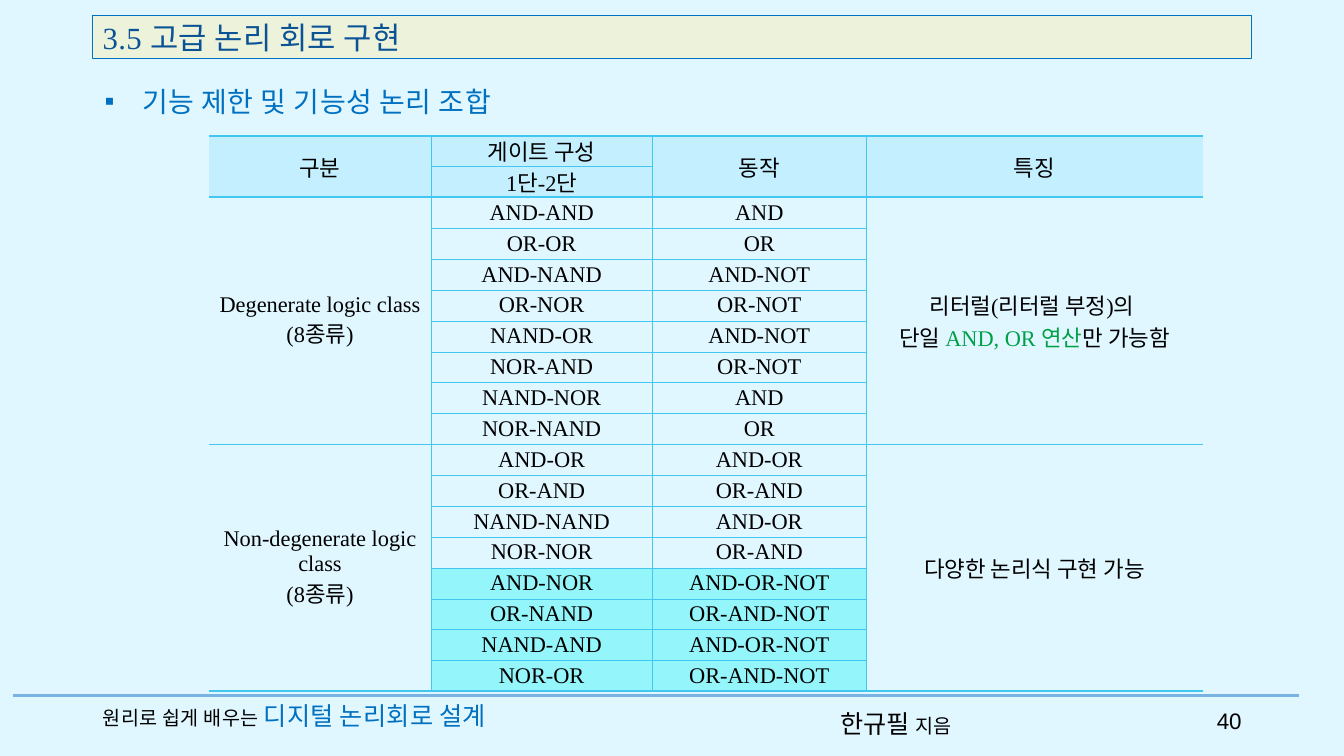
import pptx
import pptx.util
import pptx.dml.color
import pptx.enum.shapes
import pptx.enum.text
import pptx.oxml
import pptx.oxml.ns
from lxml import etree

Cm = pptx.util.Cm
Pt = pptx.util.Pt
RGBColor = pptx.dml.color.RGBColor
ALIGN = pptx.enum.text.PP_ALIGN
MIDDLE = pptx.enum.text.MSO_ANCHOR.MIDDLE
qn = pptx.oxml.ns.qn

BACKGROUND = RGBColor(0xE1, 0xF7, 0xFF)
RULE = RGBColor(0x78, 0xB3, 0xE3)
TITLE_FILL = RGBColor(0xED, 0xF3, 0xDB)
TITLE_INK = RGBColor(0x0B, 0x53, 0x94)
BLUE = RGBColor(0x00, 0x70, 0xC0)
BLACK = RGBColor(0x00, 0x00, 0x00)
GREEN = RGBColor(0x00, 0xA0, 0x48)
GRID = RGBColor(0x42, 0xC7, 0xF1)
HEADER_FILL = RGBColor(0xC4, 0xEF, 0xFF)
HIGHLIGHT = RGBColor(0x94, 0xF5, 0xFA)
LATIN, KOREAN = "Times New Roman", "Noto Sans CJK KR"
THIN, THICK = 0.28, 1.7

# A run is (text, size, colour); a paragraph is a list of runs.
TITLE = [("3.5 고급 논리 회로 구현", 22, TITLE_INK)]
TOPIC = [("기능 제한 및 기능성 논리 조합", 20, BLUE)]
BOOK = [("원리로 쉽게 배우는 ", 14, BLACK), ("디지털 논리회로 설계", 18, BLUE)]
AUTHOR = [("한규필 ", 18, BLACK), ("지음", 14, BLACK)]
PAGE = [("40", 16, BLACK)]

GATES = [
    ("게이트 구성", "동작"), ("1단-2단", ""),
    ("AND-AND", "AND"), ("OR-OR", "OR"),
    ("AND-NAND", "AND-NOT"), ("OR-NOR", "OR-NOT"),
    ("NAND-OR", "AND-NOT"), ("NOR-AND", "OR-NOT"),
    ("NAND-NOR", "AND"), ("NOR-NAND", "OR"),
    ("AND-OR", "AND-OR"), ("OR-AND", "OR-AND"),
    ("NAND-NAND", "AND-OR"), ("NOR-NOR", "OR-AND"),
    ("AND-NOR", "AND-OR-NOT"), ("OR-NAND", "OR-AND-NOT"),
    ("NAND-AND", "AND-OR-NOT"), ("NOR-OR", "OR-AND-NOT"),
]
# First row, last row, class name, feature
CLASSES = [
    (0, 1, [[("구분", 16, BLACK)]], [[("특징", 16, BLACK)]]),
    (2, 9,
     [[("Degenerate logic class", 16, BLACK)], [("(8종류)", 16, BLACK)]],
     [[("리터럴(리터럴 부정)의 ", 16, BLACK)],
      [("단일 ", 16, BLACK), ("AND, OR 연산", 16, GREEN), ("만 가능함", 16, BLACK)]]),
    (10, 17,
     [[("Non-degenerate logic class", 16, BLACK)], [("(8종류)", 16, BLACK)]],
     [[("다양한 논리식 구현 가능", 16, BLACK)]]),
]
HEADER_ROWS, FIRST_HIGHLIGHT = 2, 14
COLUMN_WIDTHS = [5.59, 5.58, 5.39, 8.48]
TABLE_LEFT, TABLE_TOP, TABLE_HEIGHT = 5.27, 3.42, 13.95
NO_STYLE = "{2D5ABB26-0587-4C30-8999-92F81FD0307C}"


def write(frame, paragraphs, align=ALIGN.LEFT, latin=LATIN, spacing=None, tracking=0):
    """Fill a text frame; tracking is letter spacing in hundredths of a point."""
    for index, runs in enumerate(paragraphs):
        paragraph = frame.add_paragraph() if index else frame.paragraphs[0]
        paragraph.alignment = align
        if spacing:
            paragraph.line_spacing = spacing
        for text, size, colour in runs:
            run = paragraph.add_run()
            run.text = text
            run.font.size = Pt(size)
            run.font.name = latin
            run.font.color.rgb = colour
            if tracking:
                run.font._element.set("spc", str(tracking))
            east_asian = etree.Element(qn("a:ea"), typeface=KOREAN)
            run.font._element.find(qn("a:latin")).addnext(east_asian)


def add_text(slide, box, runs, **style):
    frame = slide.shapes.add_textbox(*(Cm(length) for length in box)).text_frame
    frame.word_wrap = True
    frame.vertical_anchor = MIDDLE
    write(frame, [runs], **style)
    return frame


def set_borders(cell, widths):
    """widths maps the sides L, R, T, B, in that order, to points."""
    properties = cell._tc.get_or_add_tcPr()
    for side, width in widths.items():
        line = etree.SubElement(properties, qn("a:ln" + side), w=str(Pt(width)))
        fill = etree.SubElement(line, qn("a:solidFill"))
        etree.SubElement(fill, qn("a:srgbClr"), val=str(GRID))


def horizontal_rule(row):
    """Width of the rule above a row."""
    return THICK if row in (0, HEADER_ROWS, len(GATES)) else THIN


def fill_cell(table, row, last, column, paragraphs):
    cell = table.cell(row, column)
    if last > row:
        cell.merge(table.cell(last, column))
    header = row < HEADER_ROWS
    tight = header and last == row
    write(cell.text_frame, paragraphs, ALIGN.CENTER, spacing=0.8 if tight else None)
    for position in range(row, last + 1):
        part = table.cell(position, column)
        part.vertical_anchor = MIDDLE
        part.margin_left = part.margin_right = Cm(0.18)
        part.margin_top = Cm(0.1 if tight else 0.05)
        part.margin_bottom = Cm(0 if tight else 0.05)
        borders = {}
        if column > 0:
            borders["L"] = THIN
        if column < len(COLUMN_WIDTHS) - 1:
            borders["R"] = THIN
        if position == row:
            borders["T"] = horizontal_rule(row)
        if position in (row, last):
            borders["B"] = horizontal_rule(last + 1)
        set_borders(part, borders)
        if header or (row >= FIRST_HIGHLIGHT and column in (1, 2)):
            part.fill.solid()
            part.fill.fore_color.rgb = HEADER_FILL if header else HIGHLIGHT
        else:
            part.fill.background()


def add_gate_table(slide):
    table = slide.shapes.add_table(
        len(GATES), len(COLUMN_WIDTHS), Cm(TABLE_LEFT), Cm(TABLE_TOP),
        Cm(sum(COLUMN_WIDTHS)), Cm(TABLE_HEIGHT)).table
    table.first_row = table.horz_banding = False
    table._tbl.tblPr.find(qn("a:tableStyleId")).text = NO_STYLE
    for column, width in zip(table.columns, COLUMN_WIDTHS):
        column.width = Cm(width)
    for row in table.rows:
        row.height = Cm(TABLE_HEIGHT / len(GATES))
    for first, last, name, feature in CLASSES:
        fill_cell(table, first, last, 0, name)
        fill_cell(table, first, last, 3, feature)
    for row, (gates, operation) in enumerate(GATES):
        fill_cell(table, row, row, 1, [[(gates, 16, BLACK)]])
        if operation:
            last = HEADER_ROWS - 1 if row == 0 else row
            fill_cell(table, row, last, 2, [[(operation, 16, BLACK)]])


def main():
    deck = pptx.Presentation()
    deck.slide_width, deck.slide_height = Cm(33.87), Cm(19.05)
    slide = deck.slides.add_slide(deck.slide_layouts[6])
    slide.background.fill.solid()
    slide.background.fill.fore_color.rgb = BACKGROUND

    footer_rule = slide.shapes.add_connector(
        pptx.enum.shapes.MSO_CONNECTOR.STRAIGHT,
        Cm(0.33), Cm(17.53), Cm(32.74), Cm(17.53))
    footer_rule.line.color.rgb = RULE
    footer_rule.line.width = Pt(2.5)
    etree.SubElement(footer_rule._element.spPr, qn("a:effectLst"))

    add_text(slide, (20.93, 17.73, 3.89, 1.02), AUTHOR)
    add_text(slide, (29.97, 17.65, 1.57, 1.02), PAGE, align=ALIGN.RIGHT, latin="Arial")

    banner = slide.shapes.add_shape(
        pptx.enum.shapes.MSO_SHAPE.RECTANGLE,
        Cm(2.34), Cm(0.38), Cm(29.21), Cm(1.09))
    banner.shadow.inherit = False
    banner.fill.solid()
    banner.fill.fore_color.rgb = TITLE_FILL
    banner.line.color.rgb = BLUE
    banner.line.width = Pt(0.75)
    banner.text_frame.vertical_anchor = MIDDLE
    write(banner.text_frame, [TITLE], tracking=25)

    topic = add_text(slide, (2.39, 1.99, 29.21, 1.12), TOPIC, tracking=35)
    bullet = topic.paragraphs[0]._p.get_or_add_pPr()
    bullet.set("marL", str(Cm(0.95)))
    bullet.set("indent", str(-Cm(0.95)))
    etree.SubElement(bullet, qn("a:buFont"), typeface="Arial")
    etree.SubElement(bullet, qn("a:buChar"), char="▪")

    add_text(slide, (2.34, 17.53, 11.76, 1.02), BOOK, tracking=20)
    add_gate_table(slide)
    deck.save("out.pptx")


if __name__ == "__main__":
    main()
